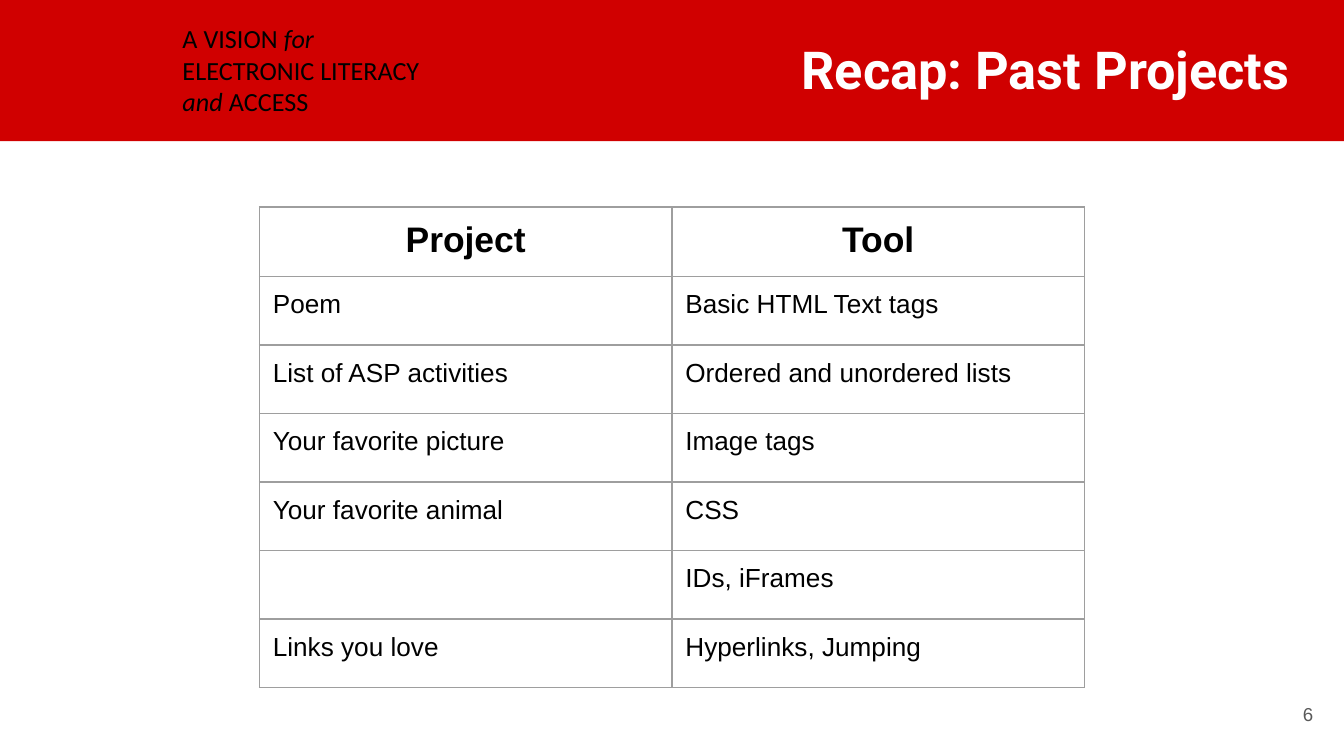
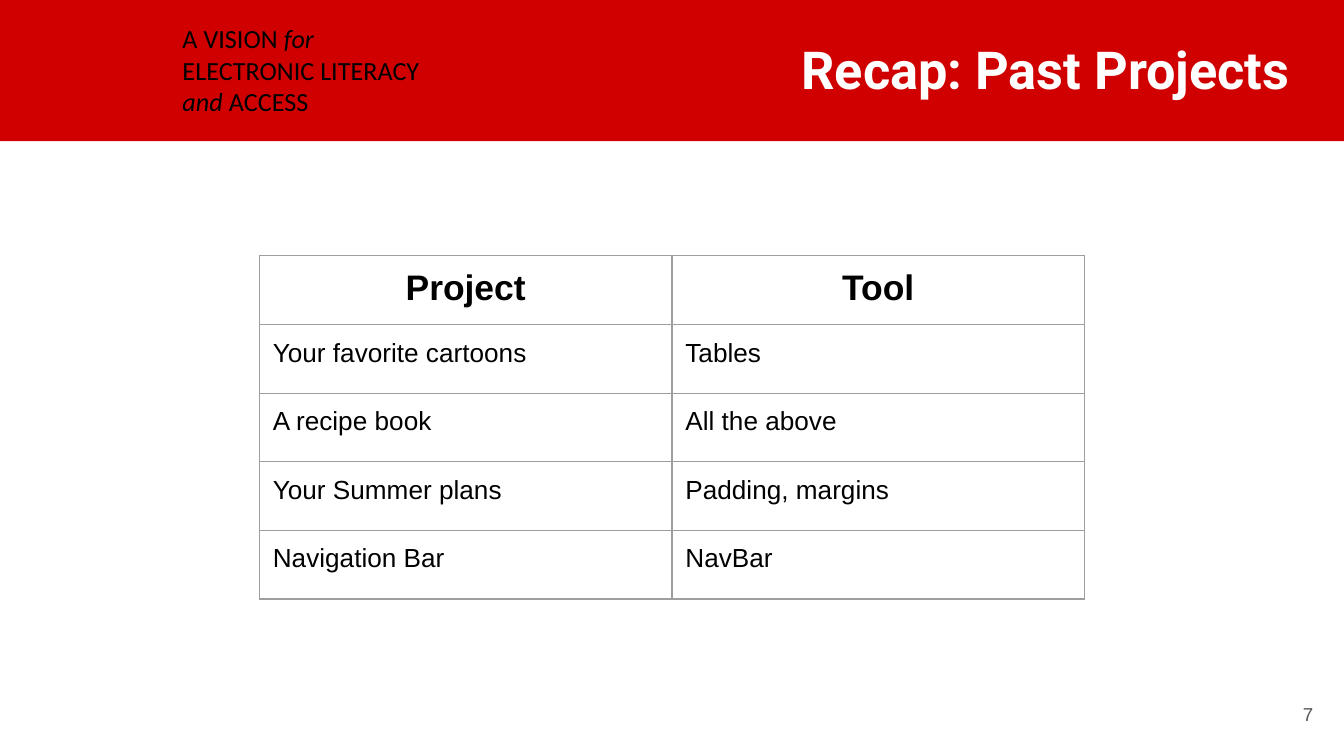
from lxml import etree
from pptx import Presentation
from pptx.dml.color import RGBColor
from pptx.enum.shapes import MSO_SHAPE
from pptx.enum.text import MSO_ANCHOR, PP_ALIGN
from pptx.oxml.ns import qn
from pptx.util import Inches, Pt

RECT = MSO_SHAPE.RECTANGLE
TOP, MIDDLE = MSO_ANCHOR.TOP, MSO_ANCHOR.MIDDLE
LEFT, CENTER, RIGHT = PP_ALIGN.LEFT, PP_ALIGN.CENTER, PP_ALIGN.RIGHT

RED, WHITE, BLACK = "D00000", "FFFFFF", "000000"
GRAY, RULE = "595959", "9E9E9E"

WIDTH = 10
HEIGHT = WIDTH * 9 / 16
BAND = 1.05
PAD = 0.1
COL, ROW = 3.07, 0.51
TABLE_LEFT = (WIDTH - 2 * COL) / 2

TITLE = "Recap: Past Projects"
# Each line is a list of (text, italic) runs.
MOTTO = [
    [("A VISION ", False), ("for", True)],
    [("ELECTRONIC LITERACY", False)],
    [("and", True), (" ACCESS", False)],
]
HEAD = ("Project", "Tool")
SLIDES = [
    {
        "page": 6,
        "top": 1.54,
        "rows": [
            ("Poem", "Basic HTML Text tags"),
            ("List of ASP activities", "Ordered and unordered lists"),
            ("Your favorite picture", "Image tags"),
            ("Your favorite animal", "CSS"),
            ("", "IDs, iFrames"),
            ("Links you love", "Hyperlinks, Jumping"),
        ],
    },
    {
        "page": 7,
        "top": 1.9,
        "rows": [
            ("Your favorite cartoons", "Tables"),
            ("A recipe book", "All the above"),
            ("Your Summer plans", "Padding, margins"),
            ("Navigation Bar", "NavBar"),
        ],
    },
]


def color(code):
    return RGBColor.from_string(code)


def pad(item):
    """Set equal margins on a text frame or a table cell."""
    item.margin_left = item.margin_right = Inches(PAD)
    item.margin_top = item.margin_bottom = Inches(PAD)


def add_run(para, text, face, size, ink, bold=False, italic=False):
    run = para.add_run()
    run.text = text
    font = run.font
    font.name, font.size = face, Pt(size)
    font.bold, font.italic = bold, italic
    font.color.rgb = color(ink)


def add_text(slide, box, lines, face, size, ink,
             align=LEFT, anchor=TOP, bold=False):
    frame = slide.shapes.add_textbox(*map(Inches, box)).text_frame
    frame.word_wrap = True
    frame.vertical_anchor = anchor
    pad(frame)
    for i, line in enumerate(lines):
        para = frame.add_paragraph() if i else frame.paragraphs[0]
        para.alignment = align
        for text, italic in line:
            add_run(para, text, face, size, ink, bold, italic)


def add_frame(slide, page):
    """Draw the band, motto, page number and title."""
    band = slide.shapes.add_shape(RECT, 0, 0, Inches(WIDTH), Inches(BAND))
    band.shadow.inherit = False
    band.fill.solid()
    band.fill.fore_color.rgb = color(RED)
    band.line.fill.background()
    add_text(slide, (1.26, 0.07, 2.94, 0.91), MOTTO, "Calibri", 14, BLACK)
    add_text(slide, (9.27, 5.1, 0.6, 0.43), [[(str(page), False)]],
             "Arial", 10, GRAY, RIGHT, MIDDLE)
    add_text(slide, (4.19, 0.18, 5.5, 0.69), [[(TITLE, False)]],
             "Roboto", 28, WHITE, RIGHT, bold=True)


def add_edges(cell):
    props = cell._tc.get_or_add_tcPr()
    for side in ("a:lnL", "a:lnR", "a:lnT", "a:lnB"):
        line = etree.SubElement(props, qn(side), w=str(Pt(0.75)))
        fill = etree.SubElement(line, qn("a:solidFill"))
        etree.SubElement(fill, qn("a:srgbClr"), val=RULE)


def add_grid(slide, top, rows):
    rows = [HEAD, *rows]
    box = (TABLE_LEFT, top, 2 * COL, ROW * len(rows))
    table = slide.shapes.add_table(len(rows), 2, *map(Inches, box)).table
    table.first_row = table.horz_banding = False
    for col in table.columns:
        col.width = Inches(COL)
    for r, row in enumerate(rows):
        table.rows[r].height = Inches(ROW)
        head = r == 0
        for c, text in enumerate(row):
            cell = table.cell(r, c)
            pad(cell)
            add_edges(cell)
            cell.fill.background()
            para = cell.text_frame.paragraphs[0]
            para.alignment = CENTER if head else LEFT
            if text:
                add_run(para, text, "Arial", 19 if head else 14, BLACK, head)


def main():
    deck = Presentation()
    deck.slide_width, deck.slide_height = Inches(WIDTH), Inches(HEIGHT)
    for data in SLIDES:
        slide = deck.slides.add_slide(deck.slide_layouts[6])
        add_frame(slide, data["page"])
        add_grid(slide, data["top"], data["rows"])
    deck.save("out.pptx")


if __name__ == "__main__":
    main()
